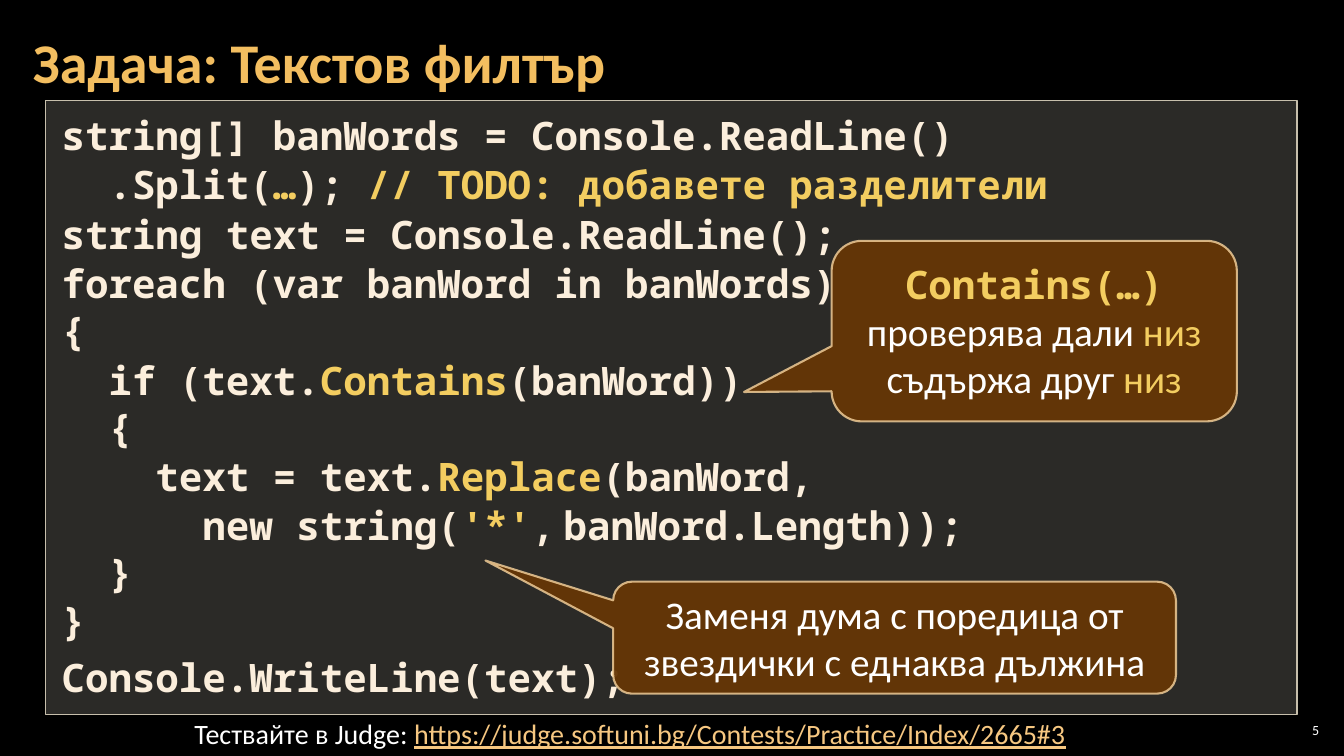
"""Build the text filter task slide: a code panel with two callouts."""
from dataclasses import dataclass
from lxml import etree
from pptx import Presentation
from pptx.dml import color as c
from pptx.enum import shapes as s, text as t
from pptx.oxml import ns
from pptx.util import Pt


@dataclass
class Theme:
    sans: str = "Calibri"
    mono: str = "Noto Sans Mono"
    back: str = "000000"
    head: str = "F3BE60"
    code: str = "FBEEDC"
    mark: str = "F3CD60"
    plain: str = "FFFFFF"
    link: str = "F6C781"
    panel: str = "D9D5C7"
    edge: str = "C7BFAC"
    brown: str = "663606"
    rim: str = "F8D49E"
    title: int = 40
    body: int = 28
    foot: int = 20
    page: int = 10


th = Theme()


def write(par, words, size, tint, face=th.sans, bold=False):
    run = par.add_run()
    run.text = words
    font = run.font
    font.size, font.name, font.bold = Pt(size), face, bold
    font.color.rgb = c.RGBColor.from_string(tint)
    return run


def draw(kind, area, fill, solid, line, width, clear):
    shape = slide.shapes.add_shape(kind, *map(Pt, area))
    shape.shadow.inherit = False
    shape.line.width = Pt(width)
    for paint, tint, part in ((shape.fill, fill, solid), (shape.line.fill, line, clear)):
        paint.solid()
        paint.fore_color.rgb = c.RGBColor.from_string(tint)
    for node, part in zip(shape._element.spPr.iter(ns.qn("a:srgbClr")), (solid, clear)):
        etree.SubElement(node, ns.qn("a:alpha"), val=str(part * 1000))
    shape.text_frame.word_wrap = True
    return shape


deck = Presentation()
deck.slide_width, deck.slide_height = Pt(960), Pt(540)
slide = deck.slides.add_slide(deck.slide_layouts[5])
slide.background.fill.solid()
slide.background.fill.fore_color.rgb = c.RGBColor.from_string(th.back)

title = slide.shapes.title
title.left, title.top, title.width, title.height = map(Pt, (15, 3, 930, 87))
frame = title.text_frame
frame.vertical_anchor = t.MSO_ANCHOR.MIDDLE
frame.margin_left = frame.margin_right = Pt(8.5)
frame.margin_top = frame.margin_bottom = Pt(2.8)
par = frame.paragraphs[0]
par.alignment, par.line_spacing = t.PP_ALIGN.LEFT, 0.9
write(par, "Задача: Текстов филтър", th.title, th.head, bold=True)

code = [
    ["string[] banWords = Console.ReadLine()"],
    ["  .Split(", "…", "); ", "// TODO: добавете разделители"],
    ["string text = Console.ReadLine();"],
    ["foreach (var banWord in banWords)"],
    ["{"],
    ["  if (text.", "Contains", "(banWord))"],
    ["  {"],
    ["    text = text.", "Replace", "(banWord,"],
    ["      new string(", "'*'", ", banWord.Length));"],
    ["  }"],
    ["}"],
    ["Console.WriteLine(text);"],
]
panel = draw(s.MSO_SHAPE.RECTANGLE, (32.5, 72, 894, 438.5), th.panel, 20, th.edge, 1, 100)
frame = panel.text_frame
frame.vertical_anchor = t.MSO_ANCHOR.TOP
frame.margin_left = frame.margin_right = Pt(11.5)
frame.margin_top = frame.margin_bottom = Pt(5.7)
for row, parts in enumerate(code):
    par = frame.add_paragraph() if row else frame.paragraphs[0]
    par.alignment = t.PP_ALIGN.LEFT
    brace = parts[0].strip() in "{}"
    par.line_spacing = 1.0 if brace else 1.05
    par.space_after = Pt(6 if parts == ["}"] else 0)
    for spot, words in enumerate(parts):
        tint = th.mark if spot % 2 else th.code
        if words.startswith(", "):
            write(par, ",", th.body, tint, th.mono, True)
            write(par, " ", th.body, tint, bold=True)
            words = words[2:]
        write(par, words, th.body, tint, th.mono, True)

notes = [
    ((594, 172, 289.5, 129), (-0.716, 0.337, 0.167), [
        ("Contains(…) ", th.mark, th.mono, True),
        ("проверява дали ", th.plain, th.sans, False),
        ("низ", th.mark, th.sans, False),
        (" съдържа друг ", th.plain, th.sans, False),
        ("низ", th.mark, th.sans, False)]),
    ((438, 415.5, 402, 80), (-0.727, -0.689, 0.167), [
        ("Заменя дума с поредица от звездички с еднаква дължина",
         th.plain, th.sans, False)]),
]
for area, bends, runs in notes:
    note = draw(s.MSO_SHAPE.ROUNDED_RECTANGULAR_CALLOUT, area, th.brown, 95, th.rim, 1.5, 80)
    for spot, bend in enumerate(bends):
        note.adjustments[spot] = bend
    note.text_frame.vertical_anchor = t.MSO_ANCHOR.MIDDLE
    par = note.text_frame.paragraphs[0]
    par.alignment = t.PP_ALIGN.CENTER
    for words, tint, face, bold in runs:
        write(par, words, th.body, tint, face, bold)

page = slide.shapes.add_textbox(*map(Pt, (911, 514, 34, 15))).text_frame
page.word_wrap = True
page.vertical_anchor = t.MSO_ANCHOR.MIDDLE
page.margin_left = page.margin_right = page.margin_top = page.margin_bottom = Pt(2.8)
page.paragraphs[0].alignment = t.PP_ALIGN.RIGHT
write(page.paragraphs[0], "5", th.page, th.plain)

foot = slide.shapes.add_textbox(*map(Pt, (131.8, 508.5, 648, 31.5))).text_frame
foot.word_wrap = False
par = foot.paragraphs[0]
write(par, "Тествайте в Judge: ", th.foot, th.plain)
link = write(par, "https://judge.softuni.bg/Contests/Practice/Index/2665#3", th.foot, th.link)
link.font.underline = True

deck.save("out.pptx")
